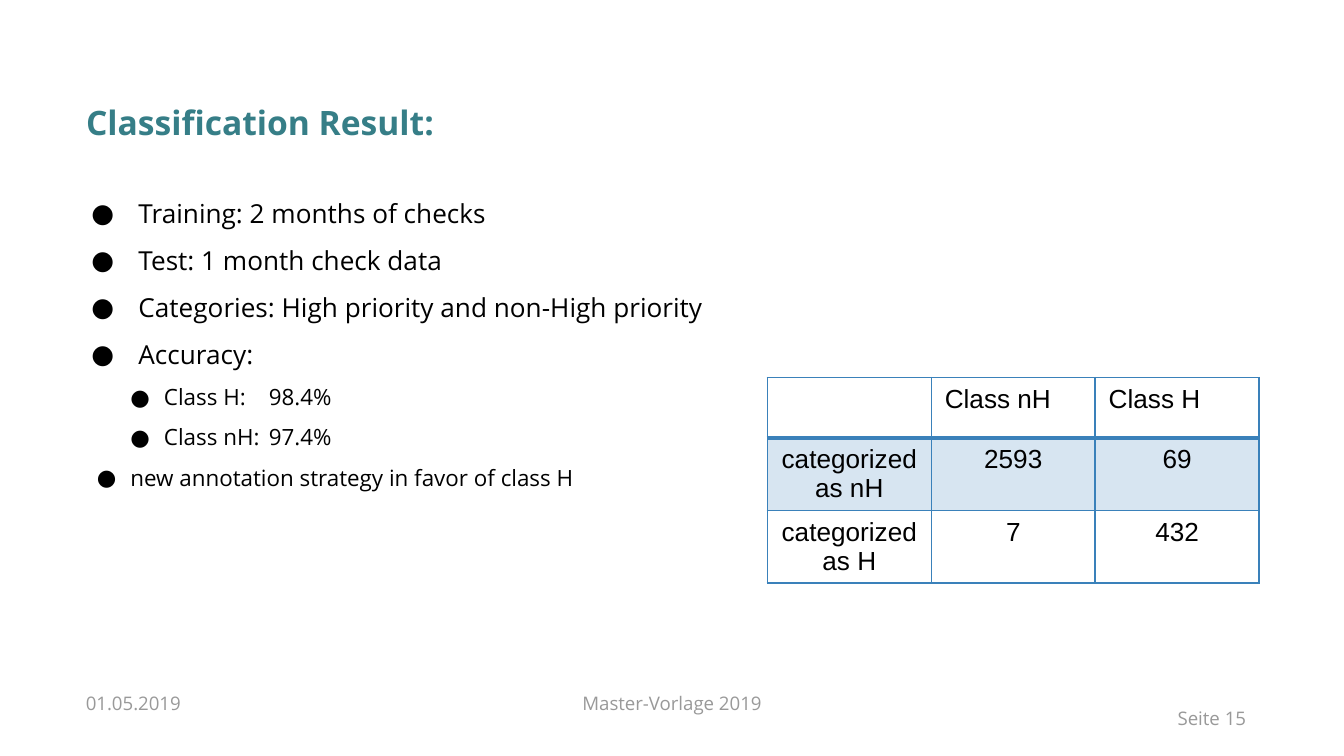
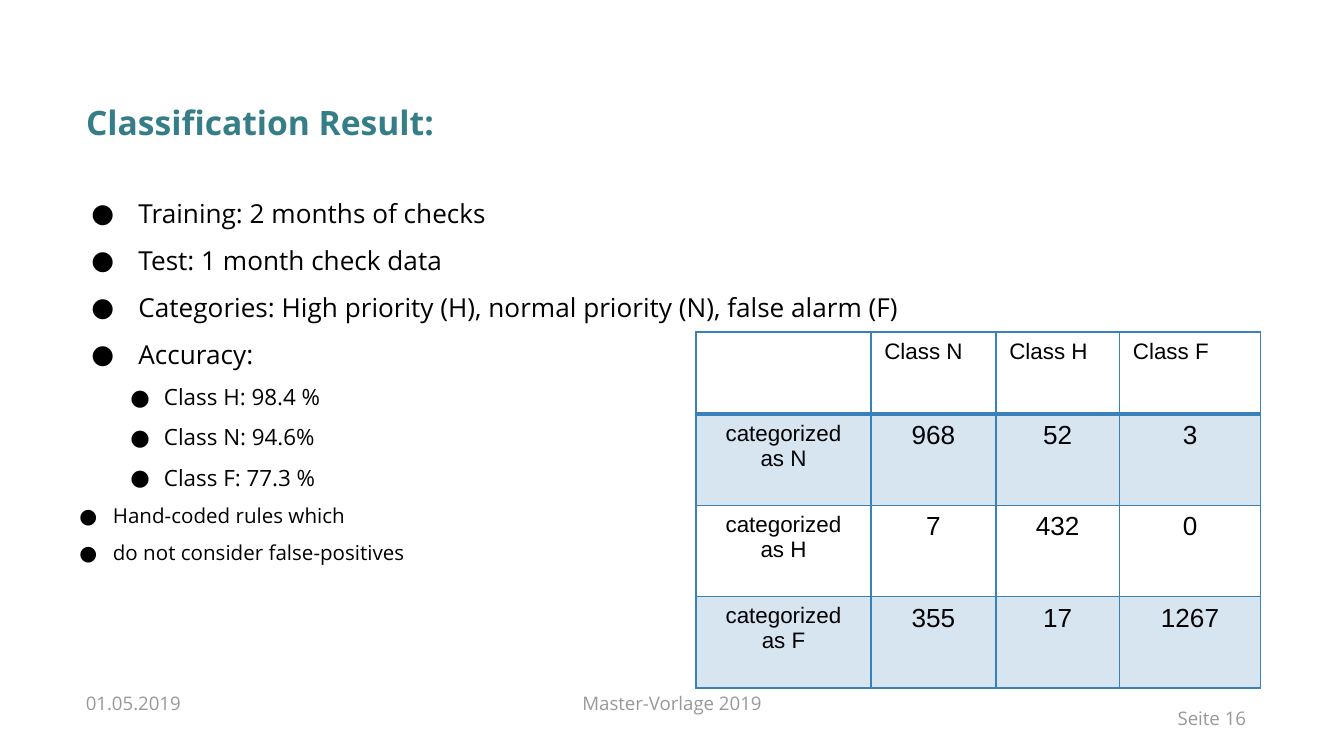
from lxml import etree
from pptx import Presentation
from pptx import util as u
from pptx.dml.color import RGBColor
from pptx.enum import text
from pptx.oxml.ns import qn

TEAL, BLUE, BLACK, GRAY = "367E87", "3A81BA", "000000", "999999"
SANS, TABLE_FONT = "Open Sans", "Arial"
LEFT, CENTER, RIGHT = text.PP_ALIGN.LEFT, text.PP_ALIGN.CENTER, text.PP_ALIGN.RIGHT
TOP, BOTTOM = text.MSO_ANCHOR.TOP, text.MSO_ANCHOR.BOTTOM
COLUMNS, CELL = 100, u.Inches(0.1)
LEVELS = {
    "main": (14, 0.5, -0.35, 0),
    "sub": (12, 0.69, -0.25, 8),
    "note": (12, 0.44, -0.25, 8),
    "small note": (11, 0.31, -0.25, 8),
}


def color(value):
    return RGBColor.from_string(value)


def add_xml(parent, tag, **attributes):
    return etree.SubElement(parent, qn(tag), attributes)


class Deck:
    """Hold the shared style and the current slide on a grid of 0.1 inch cells."""

    def __init__(self):
        self.presentation = Presentation()
        self.presentation.slide_width = COLUMNS * CELL
        self.presentation.slide_height = u.Inches(5.625)
        self.slide = None

    def grid(self, *cells):
        return [u.Emu(round(cell * CELL)) for cell in cells]

    def style(self, paragraph, size, fill, font=SANS, align=LEFT, bold=False):
        paragraph.alignment = align
        paragraph.font.size = u.Pt(size)
        paragraph.font.name = font
        paragraph.font.bold = bold
        paragraph.font.color.rgb = color(fill)

    def frame(self, shape, box, anchor=TOP):
        shape.left, shape.top, shape.width, shape.height = self.grid(*box)
        frame = shape.text_frame
        frame.word_wrap = True
        frame.auto_size = text.MSO_AUTO_SIZE.NONE
        frame.vertical_anchor = anchor
        frame.margin_left = frame.margin_right = CELL
        frame.margin_top = frame.margin_bottom = CELL
        return frame

    def add_slide(self, title, page):
        self.slide = self.presentation.slides.add_slide(self.presentation.slide_layouts[1])
        frame = self.frame(self.slide.shapes.title, (5.4, 6.6, 88.4, 4.6))
        frame.text = title
        self.style(frame.paragraphs[0], 18, TEAL, bold=True)
        self.footer("01.05.2019", (5.4, 50.5, 10, 3.7), LEFT, before=6)
        self.footer("Master-Vorlage 2019", (20, 50.5, 60, 3.7), CENTER, before=6)
        self.footer(f"Seite {page}", (84.7, 51.1, 9, 4.2), RIGHT, anchor=BOTTOM)

    def footer(self, words, box, align, before=0, anchor=TOP):
        frame = self.frame(self.slide.shapes.add_textbox(*self.grid(*box)), box, anchor)
        frame.text = words
        paragraph = frame.paragraphs[0]
        paragraph.space_before = u.Pt(before)
        self.style(paragraph, 10, GRAY, align=align)

    def bullets(self, items):
        frame = self.frame(self.slide.placeholders[1], (4.3, 12.5, 90.6, 35.1))
        frame.text = "\n".join(words for _, words in items)
        for paragraph, (kind, words) in zip(frame.paragraphs, items):
            size, margin, indent, level = LEVELS[kind]
            paragraph.level = level
            paragraph.line_spacing = 1.5
            paragraph.space_before = paragraph.space_after = u.Pt(0)
            self.style(paragraph, size, BLACK)
            properties = paragraph._p.get_or_add_pPr()
            properties.set("marL", str(u.Inches(margin)))
            properties.set("indent", str(u.Inches(indent)))
            add_xml(add_xml(properties, "a:buClr"), "a:srgbClr", val=BLACK)
            add_xml(properties, "a:buFont", typeface=SANS)
            add_xml(properties, "a:buChar", char="●")
            if "\t" in words:
                stops = add_xml(properties, "a:tabLst")
                add_xml(stops, "a:tab", pos=str(u.Inches(1.47)), algn="l")

    def table(self, left, top, widths, heights, rows, label_size):
        box = self.grid(left, top, sum(widths), sum(heights))
        table = self.slide.shapes.add_table(len(rows), len(widths), *box).table
        table.first_row = table.horz_banding = False
        for column, width in zip(table.columns, self.grid(*widths)):
            column.width = width
        for row, height in zip(table.rows, self.grid(*heights)):
            row.height = height
        for row_index, values in enumerate(rows):
            for column_index, value in enumerate(values):
                cell = table.cell(row_index, column_index)
                cell.text = value
                is_label = row_index == 0 or column_index == 0
                for paragraph in cell.text_frame.paragraphs:
                    self.style(paragraph, label_size if is_label else 14, BLACK,
                               TABLE_FONT, CENTER if row_index else LEFT)
                self.borders(cell, row_index)
                self.band(cell, row_index % 2 == 1)

    def borders(self, cell, row_index):
        properties = cell._tc.get_or_add_tcPr()
        heavy = {0: "a:lnB", 1: "a:lnT"}.get(row_index)
        for side in ("a:lnL", "a:lnR", "a:lnT", "a:lnB"):
            width = u.Pt(1.98 if side == heavy else 0.96)
            line = add_xml(properties, side, w=str(width))
            add_xml(add_xml(line, "a:solidFill"), "a:srgbClr", val=BLUE)

    def band(self, cell, tinted):
        if not tinted:
            cell.fill.background()
            return
        cell.fill.solid()
        cell.fill.fore_color.rgb = color(BLUE)
        tint = cell._tc.tcPr.find(qn("a:solidFill")).find(qn("a:srgbClr"))
        add_xml(tint, "a:alpha", val="20000")


def result_items(categories, accuracies, notes):
    main = ["Training: 2 months of checks", "Test: 1 month check data",
            f"Categories: {categories}", "Accuracy:"]
    return [("main", words) for words in main] + [("sub", words) for words in accuracies] + notes


def main():
    deck = Deck()
    deck.add_slide("Classification Result:", 15)
    deck.bullets(result_items(
        "High priority and non-High priority",
        ["Class H:\t98.4%", "Class nH:\t97.4%"],
        [("note", "new annotation strategy in favor of class H")]))
    deck.table(57.1, 28.1, [12.2] * 3, [4.5, 5.4, 5.4], [
        ["", "Class nH", "Class H"],
        ["categorized as nH", "2593", "69"],
        ["categorized as H", "7", "432"],
    ], 14)

    deck.add_slide("Classification Result:", 16)
    deck.bullets(result_items(
        "High priority (H), normal priority (N), false alarm (F)",
        ["Class H: 98.4 %", "Class N: 94.6%", "Class F: 77.3 %"],
        [("small note", "Hand-coded rules which"),
         ("small note", "do not consider false-positives")]))
    deck.table(51.8, 24.7, [13, 9.3, 9.2, 10.5], [6.1] + [6.8] * 3, [
        ["", "Class N", "Class H", "Class F"],
        ["categorized\nas N", "968", "52", "3"],
        ["categorized\nas H", "7", "432", "0"],
        ["categorized\nas F", "355", "17", "1267"],
    ], 12)
    deck.presentation.save("out.pptx")


if __name__ == "__main__":
    main()
